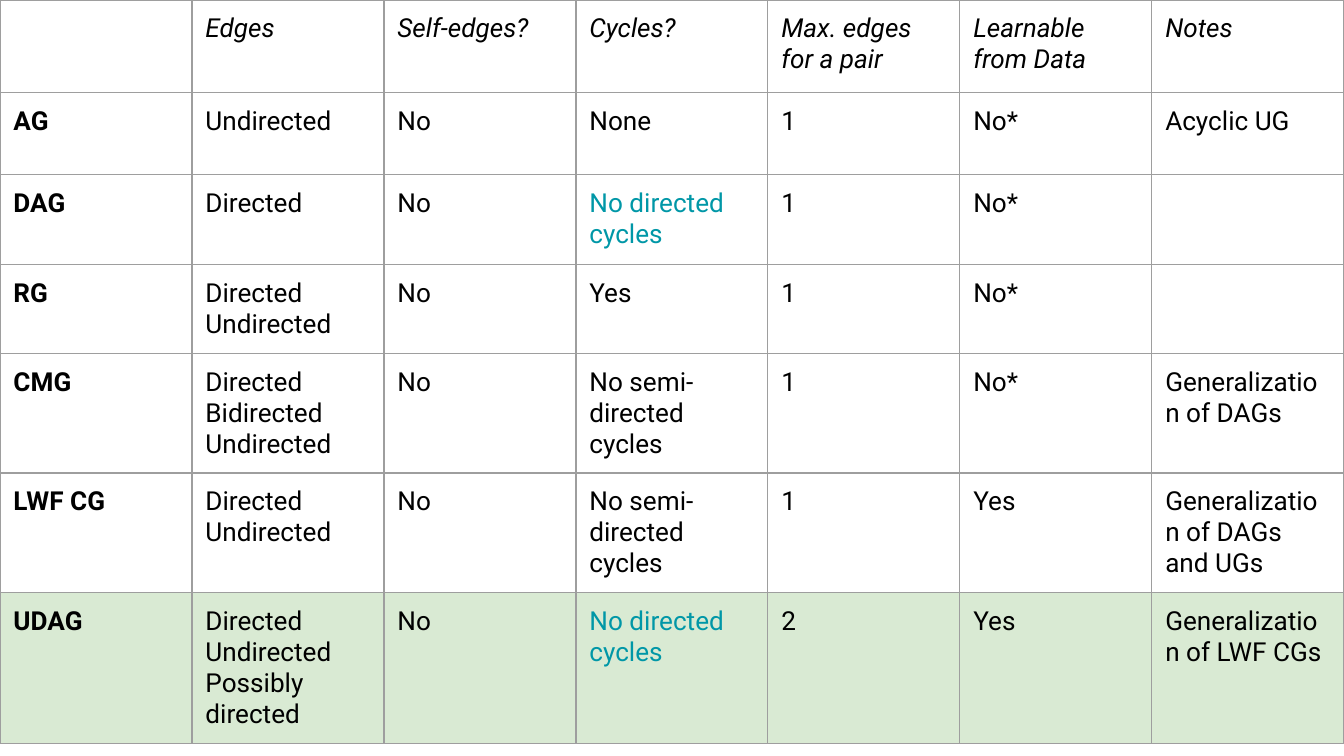
from dataclasses import dataclass

from lxml.etree import SubElement
from pptx import Presentation
from pptx.dml.color import RGBColor
from pptx.oxml.ns import qn
from pptx.util import Inches, Pt


@dataclass(frozen=True)
class Theme:
    font: str = "Roboto"
    text_size: float = 14
    border_width: float = 0.75
    text: str = "000000"
    accent: str = "0097A7"
    highlight: str = "D9EAD3"
    border: str = "9E9E9E"


THEME = Theme()
SLIDE_WIDTH = Inches(10)
SLIDE_HEIGHT = Inches(10 * 9 / 16)
ROW_HEIGHTS = [0.69, 0.61, 0.67, 0.6, 0.88, 0.61, 0.61]
CELL_MARGIN = Inches(0.1)
ACCENTED = "No directed cycles"
HIGHLIGHTED = "UDAG"

GRAPH_CLASSES = [
    ["", "Edges", "Self-edges?", "Cycles?", "Max. edges for a pair",
     "Learnable from Data", "Notes"],
    ["AG", "Undirected", "No", "None", "1", "No*", "Acyclic UG"],
    ["DAG", "Directed", "No", "No directed cycles", "1", "No*", ""],
    ["RG", "Directed\nUndirected", "No", "Yes", "1", "No*", ""],
    ["CMG", "Directed\nBidirected\nUndirected", "No",
     "No semi-directed cycles", "1", "No*", "Generalization of DAGs"],
    ["LWF CG", "Directed\nUndirected", "No", "No semi-directed cycles",
     "1", "Yes", "Generalization of DAGs and UGs"],
    ["UDAG", "Directed\nUndirected\nPossibly directed", "No",
     "No directed cycles", "2", "Yes", "Generalization of LWF CGs"],
]


def apply_format(target, values):
    for attribute, value in values.items():
        setattr(target, attribute, value)


def set_borders(cell):
    """Draw all four sides; they must precede the cell's fill in the XML."""
    properties = cell._tc.get_or_add_tcPr()
    for side in ("a:lnL", "a:lnR", "a:lnT", "a:lnB"):
        line = SubElement(properties, qn(side), w=str(Pt(THEME.border_width)))
        solid = SubElement(line, qn("a:solidFill"))
        SubElement(solid, qn("a:srgbClr"), val=THEME.border)


def set_fill(cell, color=None):
    if color:
        cell.fill.solid()
        cell.fill.fore_color.rgb = RGBColor.from_string(color)
    else:
        cell.fill.background()


def write_text(cell, text, bold, italic):
    sides = ("left", "right", "top", "bottom")
    apply_format(cell, {f"margin_{side}": CELL_MARGIN for side in sides})
    cell.text = text
    color = THEME.accent if text == ACCENTED else THEME.text
    for paragraph in cell.text_frame.paragraphs:
        for run in paragraph.runs:
            apply_format(run.font, {
                "name": THEME.font,
                "size": Pt(THEME.text_size),
                "bold": bold,
                "italic": italic,
            })
            run.font.color.rgb = RGBColor.from_string(color)


def add_comparison(slide, rows):
    column_count = len(rows[0])
    comparison = slide.shapes.add_table(
        len(rows), column_count, Inches(0), Inches(0),
        SLIDE_WIDTH, Inches(sum(ROW_HEIGHTS)),
    ).table
    apply_format(comparison, {"first_row": False, "horz_banding": False})
    for column in comparison.columns:
        column.width = SLIDE_WIDTH // column_count
    for row_index, (row, height) in enumerate(zip(rows, ROW_HEIGHTS)):
        comparison.rows[row_index].height = Inches(height)
        row_fill = THEME.highlight if row[0] == HIGHLIGHTED else None
        for column_index, text in enumerate(row):
            cell = comparison.cell(row_index, column_index)
            write_text(cell, text, bold=column_index == 0, italic=row_index == 0)
            set_borders(cell)
            set_fill(cell, row_fill)


def main():
    presentation = Presentation()
    presentation.slide_width = SLIDE_WIDTH
    presentation.slide_height = SLIDE_HEIGHT
    slide = presentation.slides.add_slide(presentation.slide_layouts[6])
    add_comparison(slide, GRAPH_CLASSES)
    presentation.save("out.pptx")


if __name__ == "__main__":
    main()
